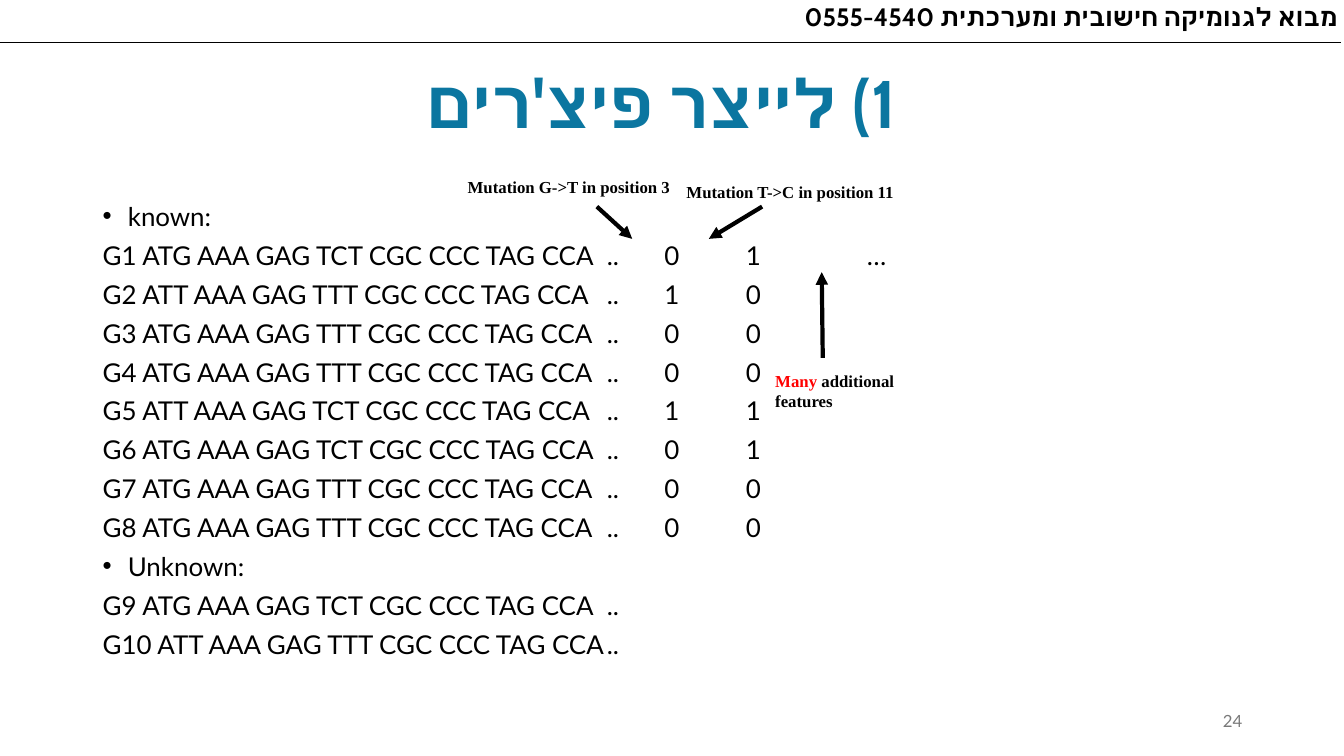
import dataclasses

import pptx
import pptx.dml.color
import pptx.enum.shapes
import pptx.enum.text
import pptx.oxml
import pptx.oxml.ns
import pptx.util
from lxml import etree

ALIGN = pptx.enum.text.PP_ALIGN
ANCHOR = pptx.enum.text.MSO_ANCHOR
WIDTH, HEIGHT = pptx.util.Inches(13.33), pptx.util.Inches(7.5)
KNOWN = ["ATG TCT", "ATT TTT", "ATG TTT", "ATG TTT",
         "ATT TCT", "ATG TCT", "ATG TTT", "ATG TTT"]
UNKNOWN = ["ATG TCT", "ATT TTT"]
TAB_STOPS = (5, 5.57, 6.38, 7.58)


@dataclasses.dataclass(frozen=True)
class Theme:
    """Colours, fonts and type sizes of the slide."""
    ink: str = "000000"
    accent: str = "0B76A0"
    alert: str = "FF0000"
    muted: str = "797979"
    heading: str = "Cabin"
    body: str = "Lato"
    note: str = "Times New Roman"
    title_size: float = 48
    header_size: float = 18
    body_size: float = 18.5
    note_size: float = 12


THEME = Theme()


def x(share):
    """Turn a percentage of the slide's width into a length."""
    return round(WIDTH * share / 100)


def y(share):
    """Turn a percentage of the slide's height into a length."""
    return round(HEIGHT * share / 100)


def sub(parent, tag, **values):
    """Append a DrawingML element with attributes."""
    e = etree.SubElement(parent, pptx.oxml.ns.qn(tag))
    for name, value in values.items():
        e.set(name, str(value))
    return e


def add_box(s, left, top, width, height, **frame):
    """Add a text box placed in shares and return its frame."""
    tf = s.shapes.add_textbox(x(left), y(top), x(width), y(height)).text_frame
    for name, value in {"word_wrap": True, **frame}.items():
        setattr(tf, name, value)
    return tf


def add_run(p, text, font, size, color, bold=False):
    """Add a formatted run to a paragraph."""
    r = p.add_run()
    r.text = text
    for name, value in {"name": font, "size": pptx.util.Pt(size), "bold": bold}.items():
        setattr(r.font, name, value)
    r.font.color.rgb = pptx.dml.color.RGBColor.from_string(color)
    sub(r.font._element, "a:cs", typeface=font)


def add_paragraph(tf, **formats):
    """Return a formatted paragraph, reusing the empty first one."""
    p = tf.paragraphs[0]
    if p.runs:
        p = tf.add_paragraph()
    for name, value in formats.items():
        setattr(p, name, value)
    return p


def add_hebrew(tf, text, size, color, **formats):
    """Add a right-to-left heading paragraph."""
    p = add_paragraph(tf, line_spacing=0.9, **formats)
    p._p.get_or_add_pPr().set("rtl", "1")
    add_run(p, text, THEME.heading, size, color, True)


def add_line(s, start, end, width, arrow=False):
    """Add a straight line, with an arrowhead at its end if asked."""
    kind = pptx.enum.shapes.MSO_CONNECTOR.STRAIGHT
    c = s.shapes.add_connector(kind, x(start[0]), y(start[1]), x(end[0]), y(end[1]))
    c.line.width = pptx.util.Pt(width)
    c.line.color.rgb = pptx.dml.color.RGBColor.from_string(THEME.ink)
    if arrow:
        sub(c.line._get_or_add_ln(), "a:tailEnd", type="triangle")
    sub(c._element.spPr, "a:effectLst")


def add_note(s, box, *lines):
    """Add a bold unwrapped note; each line is a list of text and colour."""
    tf = add_box(s, *box, word_wrap=False,
                 auto_size=pptx.enum.text.MSO_AUTO_SIZE.SHAPE_TO_FIT_TEXT)
    for line in lines:
        p = add_paragraph(tf)
        for text, color in line:
            add_run(p, text, THEME.note, THEME.note_size, color, True)


def add_body_line(tf, text, bullet=False):
    """Add a bulleted label or a tabbed sequence row."""
    p = add_paragraph(tf, line_spacing=0.8, space_before=pptx.util.Pt(10))
    pPr = p._p.get_or_add_pPr()
    if bullet:
        indent = pptx.util.Inches(0.25)
        pPr.set("marL", str(indent))
        pPr.set("indent", str(-indent))
        sub(pPr, "a:buFont", typeface="Arial")
        sub(pPr, "a:buChar", char="•")
    else:
        stops = sub(pPr, "a:tabLst")
        for stop in TAB_STOPS:
            sub(stops, "a:tab", pos=pptx.util.Inches(stop), algn="l")
    add_run(p, text, THEME.body, THEME.body_size, THEME.ink)


def sequence_row(number, codons, known):
    """Write a gene's sequence and, if known, its two mutation flags."""
    first, fourth = codons.split()
    cells = [f"G{number} {first} AAA GAG {fourth} CGC CCC TAG CCA", ".."]
    if known:
        cells += [str(int(first == "ATT")), str(int(fourth == "TCT"))]
    if number == 1:
        cells.append("…")
    return "\t".join(cells)


def add_genes(s):
    """Add the known and unknown gene lists."""
    tf = add_box(s, 6.9, 26.67, 86.27, 63.47)
    number = 0
    for label, genes in (("known:", KNOWN), ("Unknown:", UNKNOWN)):
        add_body_line(tf, label, bullet=True)
        for codons in genes:
            number += 1
            add_body_line(tf, sequence_row(number, codons, genes is KNOWN))


def main():
    """Build and save the slide."""
    prs = pptx.Presentation()
    prs.slide_width, prs.slide_height = WIDTH, HEIGHT
    s = prs.slides.add_slide(prs.slide_layouts[6])

    add_hebrew(add_box(s, 0.3, 0, 100, 26.27), "מבוא לגנומיקה חישובית ומערכתית 0555-4540",
               THEME.header_size, THEME.ink, alignment=ALIGN.RIGHT,
               space_before=pptx.util.Pt(10))
    add_line(s, (0, 5.6), (99.77, 5.6), 1)
    title = add_box(s, -1.35, -15.2, 101.13, 34.8, vertical_anchor=ANCHOR.BOTTOM)
    add_hebrew(title, "1) לייצר פיצ'רים", THEME.title_size, THEME.accent,
               alignment=ALIGN.CENTER)

    add_genes(s)
    add_note(s, (34.06, 22.67, 17.03, 4), [("Mutation G->T in position 3", THEME.ink)])
    add_note(s, (50.34, 23.33, 17.33, 4), [("Mutation T->C in position 11", THEME.ink)])
    add_note(s, (56.94, 48.4, 10.8, 6.67),
             [("Many", THEME.alert), (" additional", THEME.ink)],
             [("features", THEME.ink)])
    for start, end in (((44.41, 27.33), (47.04, 31.6)),
                       ((56.71, 27.33), (52.74, 31.6)),
                       ((61.22, 47.33), (61.14, 36))):
        add_line(s, start, end, 3, arrow=True)

    tf = add_box(s, 70.67, 92.67, 22.51, 5.33, vertical_anchor=ANCHOR.MIDDLE)
    add_run(add_paragraph(tf, alignment=ALIGN.RIGHT), "24",
            THEME.body, THEME.note_size, THEME.muted)
    prs.save("out.pptx")


if __name__ == "__main__":
    main()
